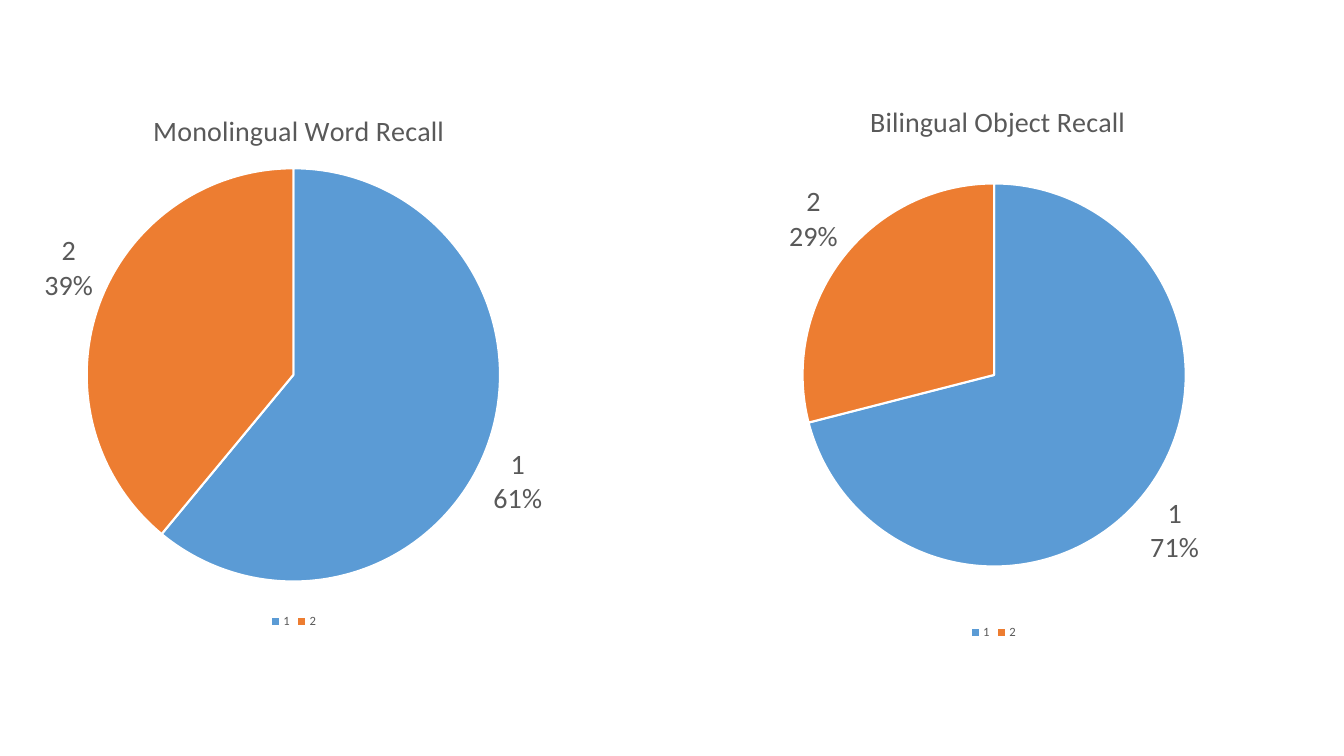
import pptx
import pptx.chart.data
import pptx.dml.color
import pptx.enum.chart
import pptx.oxml
import pptx.oxml.ns
import pptx.util
from dataclasses import dataclass

Inches = pptx.util.Inches
Pt = pptx.util.Pt
qn = pptx.oxml.ns.qn
C_NS = pptx.oxml.ns.nsdecls("c")


@dataclass(frozen=True)
class Theme:
    font: str = "Calibri"
    text: str = "595959"
    border: str = "FFFFFF"
    slices: tuple = ("5B9BD5", "ED7D31")
    title_size: int = 20
    label_size: int = 20
    legend_size: int = 9
    base_size: int = 10
    border_width: float = 1.5


def rgb(value):
    return pptx.dml.color.RGBColor.from_string(value)


def apply(target, formats):
    for name, value in formats.items():
        setattr(target, name, value)


def place(part, index, fractions, inner=False):
    """Give a chart part a manual layout, as fractions of the chart frame."""
    for old_layout in part.findall(qn("c:layout")):
        part.remove(old_layout)
    entries = [("layoutTarget", "inner")] if inner else []
    entries += [("xMode", "edge"), ("yMode", "edge")]
    entries += [(key, f"{value:.4f}") for key, value in fractions.items()]
    body = "".join(f'<c:{key} val="{value}"/>' for key, value in entries)
    part.insert(index, pptx.oxml.parse_xml(
        f"<c:layout {C_NS}><c:manualLayout>{body}</c:manualLayout></c:layout>"))


class RecallSlide:
    def __init__(self, slide, theme):
        self.slide = slide
        self.theme = theme

    def style_font(self, font, size, color=None):
        apply(font, {"name": self.theme.font, "size": Pt(size), "bold": False})
        font.color.rgb = rgb(color or self.theme.text)

    def pie(self, title, shares, frame, title_at, pie_at):
        """Add a pie; title_at is left, top and pie_at is left, top, side, in slide inches."""
        left, top, width, height = frame
        recall = pptx.chart.data.CategoryChartData()
        recall.categories = ["1", "2"]
        recall.add_series("Series 1", shares)
        chart = self.slide.shapes.add_chart(
            pptx.enum.chart.XL_CHART_TYPE.PIE, *map(Inches, frame), recall).chart
        self.style_font(chart.font, self.theme.base_size, "000000")
        self.title(chart, title)
        self.legend(chart)
        self.slices(chart)

        def fractions(x, y):
            return {"x": (x - left) / width, "y": (y - top) / height}

        place(chart.chart_title._element, 1, fractions(*title_at))
        pie_x, pie_y, side = pie_at
        plot_box = fractions(pie_x, pie_y) | {"w": side / width, "h": side / height}
        place(chart.plots[0]._element.getparent(), 0, plot_box, inner=True)

    def title(self, chart, text):
        chart.has_title = True
        heading = chart.chart_title.text_frame
        heading.text = text
        self.style_font(heading.paragraphs[0].runs[0].font, self.theme.title_size)

    def legend(self, chart):
        chart.has_legend = True
        apply(chart.legend, {
            "position": pptx.enum.chart.XL_LEGEND_POSITION.BOTTOM,
            "include_in_layout": False,
        })
        self.style_font(chart.legend.font, self.theme.legend_size)

    def slices(self, chart):
        plot = chart.plots[0]
        plot.vary_by_categories = True
        series = plot.series[0]
        for index, color in enumerate(self.theme.slices):
            part = series.points[index].format
            part.fill.solid()
            part.fill.fore_color.rgb = rgb(color)
            part.line.color.rgb = rgb(self.theme.border)
            part.line.width = Pt(self.theme.border_width)
        labels = series.data_labels
        apply(labels, {
            "show_value": False,
            "show_category_name": True,
            "show_percentage": True,
            "number_format": "0%",
            "number_format_is_linked": False,
            "position": pptx.enum.chart.XL_LABEL_POSITION.OUTSIDE_END,
        })
        self.style_font(labels.font, self.theme.label_size)
        separator = pptx.oxml.parse_xml(f"<c:separator {C_NS}>\n</c:separator>")
        labels._element.find(qn("c:showBubbleSize")).addnext(separator)


def main():
    deck = pptx.Presentation()
    apply(deck, {"slide_width": Inches(13.33), "slide_height": Inches(7.5)})
    recall = RecallSlide(deck.slides.add_slide(deck.slide_layouts[6]), Theme())
    recall.pie("Monolingual Word Recall", (61, 39), (0, 0.8, 5.83, 5.48),
               title_at=(1.47, 1.05), pie_at=(0.86, 1.67, 4.1))
    recall.pie("Bilingual Object Recall", (71, 29), (6.77, 0.74, 6.17, 5.65),
               title_at=(8.58, 0.96), pie_at=(7.96, 1.82, 3.8))
    deck.save("out.pptx")


if __name__ == "__main__":
    main()
